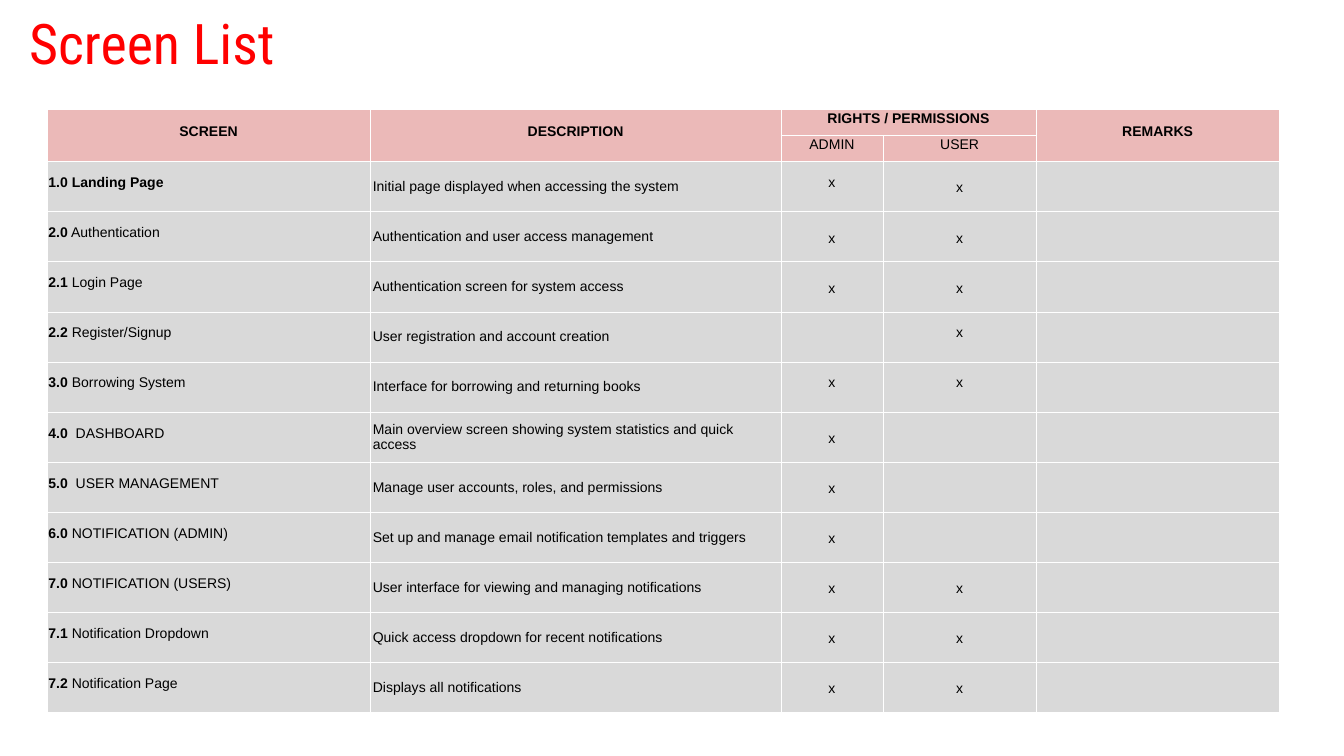
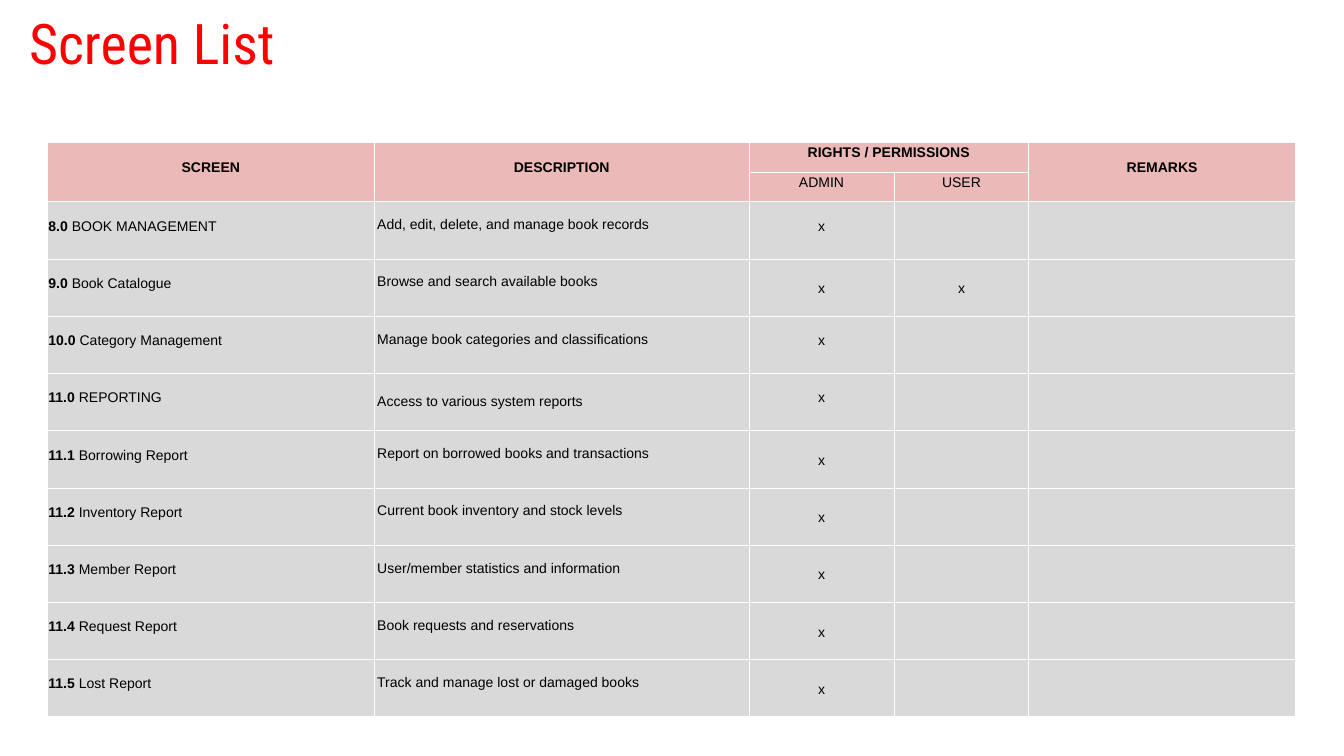
from dataclasses import dataclass

from lxml import etree
from pptx import Presentation
from pptx.dml.color import RGBColor
from pptx.enum.text import MSO_ANCHOR, MSO_AUTO_SIZE, PP_ALIGN
from pptx.oxml.ns import qn
from pptx.util import Inches, Pt

LEFT, MID = PP_ALIGN.LEFT, PP_ALIGN.CENTER
CENTER = MSO_ANCHOR.MIDDLE
FIXED = MSO_AUTO_SIZE.NONE


@dataclass(frozen=True)
class Theme:
    """Colours, fonts, type sizes and line widths of the deck."""
    red: str = "FF0000"
    ink: str = "000000"
    head: str = "EBB9B8"
    body: str = "D9D9D9"
    rule: str = "FFFFFF"
    title_font: str = "Roboto Condensed"
    font: str = "Arial"
    title_size: int = 80
    size: int = 20
    tight: float = 6.8
    thin: float = 0.79
    thick: float = 2.37


THEME = Theme()
WIDE, HIGH = Inches(26.67), Inches(15)
TITLE_BOX = (2.17, 1.47, 90.93, 9.33)
HEAD_SHARE = 0.52
TEXT_PAD = (0.05, 0.05, 0.05, 0.05)
CELL_PAD = (0.03, 0.09, 0.03, 0.03)

# Each row: number, screen, description, then line spacing of description, admin and user marks.
PAGES = [
    {
        "box": (3.49, 14.47, 91.68, 79.8),
        "cols": (6.42, 8.15, 2.03, 3.04, 4.82),
        "rows": [
            ("1.0 Landing Page", "", "Initial page displayed when accessing the system", "ltl"),
            ("2.0", " Authentication", "Authentication and user access management", "lll"),
            ("2.1", " Login Page", "Authentication screen for system access", "lll"),
            ("2.2", " Register/Signup", "User registration and account creation", "l-t"),
            ("3.0", " Borrowing System", "Interface for borrowing and returning books", "ltt"),
            ("4.0 ", " DASHBOARD",
             "Main overview screen showing system statistics and quick access", "ll-"),
            ("5.0 ", " USER MANAGEMENT", "Manage user accounts, roles, and permissions", "ll-"),
            ("6.0", " NOTIFICATION (ADMIN)",
             "Set up and manage email notification templates and triggers", "ll-"),
            ("7.0", " NOTIFICATION (USERS)",
             "User interface for viewing and managing notifications", "lll"),
            ("7.1", " Notification Dropdown", "Quick access dropdown for recent notifications", "lll"),
            ("7.2", " Notification Page", "Displays all notifications", "lll"),
        ],
    },
    {
        "box": (3.49, 18.8, 92.91, 76),
        "cols": (6.51, 7.43, 2.89, 2.67, 5.3),
        "rows": [
            ("8.0", " BOOK MANAGEMENT", "Add, edit, delete, and manage book records", "tt-"),
            ("9.0", " Book Catalogue", "Browse and search available books", "tll"),
            ("10.0", " Category Management", "Manage book categories and classifications", "tt-"),
            ("11.0", " REPORTING", "Access to various system reports", "lt-"),
            ("11.1", " Borrowing Report", "Report on borrowed books and transactions", "tl-"),
            ("11.2", " Inventory Report", "Current book inventory and stock levels", "tl-"),
            ("11.3", " Member Report", "User/member statistics and information", "tl-"),
            ("11.4", " Request Report", "Book requests and reservations", "tl-"),
            ("11.5", " Lost Report", "Track and manage lost or damaged books", "tl-"),
        ],
    },
]


def place(box):
    """Turn a box in percent of the slide into lengths."""
    return [int(part * side / 100) for part, side in zip(box, (WIDE, HIGH) * 2)]


def write(frame, text, font=THEME.font, size=THEME.size, color=THEME.ink,
          bold=False, align=LEFT, space=None):
    """Add a run of text to the first paragraph of a frame."""
    par = frame.paragraphs[0]
    par.alignment = align
    if space:
        par.line_spacing = space
    run = par.add_run()
    run.text = text
    run.font.name, run.font.size, run.font.bold = font, Pt(size), bold
    run.font.color.rgb = RGBColor.from_string(color)


def pad(cell, sides):
    """Set the left, top, right and bottom margins of a cell."""
    (cell.margin_left, cell.margin_top,
     cell.margin_right, cell.margin_bottom) = map(Inches, sides)


def rule(cell, top, bottom):
    """Draw the four borders of a cell."""
    props = cell._tc.get_or_add_tcPr()
    for side, width in zip("LRTB", (THEME.thin, THEME.thin, top, bottom)):
        line = etree.SubElement(props, qn(f"a:ln{side}"), w=str(Pt(width)))
        fill = etree.SubElement(line, qn("a:solidFill"))
        etree.SubElement(fill, qn("a:srgbClr"), val=THEME.rule)


def style(table):
    """Give every cell its margins, borders and fill."""
    for i, row in enumerate(table.rows):
        for cell in row.cells:
            pad(cell, CELL_PAD)
            cell.vertical_anchor = CENTER
            last = i == 1 or cell.is_merge_origin and cell.span_height > 1
            rule(cell, THEME.thick if i == 2 else THEME.thin,
                 THEME.thick if last else THEME.thin)
            cell.fill.solid()
            cell.fill.fore_color.rgb = RGBColor.from_string(
                THEME.head if i < 2 else THEME.body)


def add_head(table):
    """Merge and label the two header rows."""
    for col in (0, 1, 4):
        table.cell(0, col).merge(table.cell(1, col))
    table.cell(0, 2).merge(table.cell(0, 3))
    labels = [(0, 0, "SCREEN"), (0, 1, "DESCRIPTION"), (0, 2, "RIGHTS / PERMISSIONS"),
              (0, 4, "REMARKS"), (1, 2, "ADMIN"), (1, 3, "USER")]
    for row, col, text in labels:
        write(table.cell(row, col).text_frame, text, bold=row == 0,
              align=MID, space=Pt(THEME.tight))


def add_row(cells, num, name, note, code):
    """Fill one screen's row; the code holds t for tight, l for loose, - for empty."""
    gaps = [Pt(THEME.tight) if mark == "t" else None for mark in code]
    write(cells[0].text_frame, num, bold=True, space=Pt(THEME.tight))
    if name:
        write(cells[0].text_frame, name)
    pad(cells[1], TEXT_PAD)
    write(cells[1].text_frame, note, space=gaps[0])
    for cell, mark, gap in zip(cells[2:4], code[1:], gaps[1:]):
        if mark != "-":
            write(cell.text_frame, "x", align=MID, space=gap)


def add_grid(slide, box, cols, rows):
    """Add the table of screens inside the box."""
    left, top, width, height = place(box)
    table = slide.shapes.add_table(len(rows) + 2, len(cols), left, top, width, height).table
    table.first_row = table.horz_banding = False
    for col, share in zip(table.columns, cols):
        col.width = int(width * share / sum(cols))
    unit = height / (len(rows) + 2 * HEAD_SHARE)
    for i, row in enumerate(table.rows):
        row.height = int(unit * (HEAD_SHARE if i < 2 else 1))
    add_head(table)
    style(table)
    for i, row in enumerate(rows, 2):
        add_row([table.cell(i, col) for col in range(len(cols))], *row)


def add_title(slide, text):
    """Place and format the slide title."""
    title = slide.shapes.title
    title.left, title.top, title.width, title.height = place(TITLE_BOX)
    frame = title.text_frame
    frame.auto_size, frame.word_wrap = FIXED, True
    frame.vertical_anchor = CENTER
    frame.margin_left = frame.margin_top = frame.margin_right = frame.margin_bottom = 0
    write(frame, text, font=THEME.title_font, size=THEME.title_size,
          color=THEME.red, space=0.9)


def main():
    """Build the screen list slides."""
    deck = Presentation()
    deck.slide_width, deck.slide_height = WIDE, HIGH
    for page in PAGES:
        slide = deck.slides.add_slide(deck.slide_layouts[5])
        add_title(slide, "Screen List")
        add_grid(slide, **page)
    deck.save("out.pptx")


if __name__ == "__main__":
    main()
